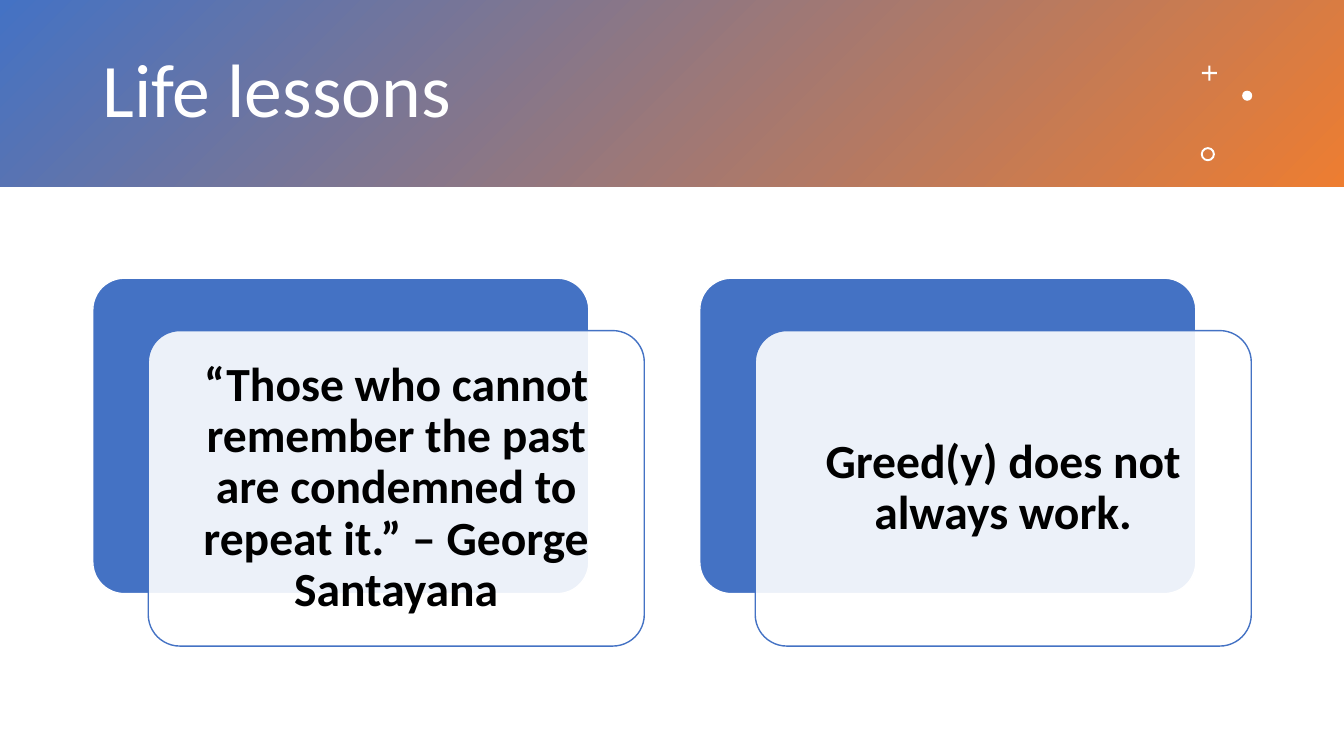
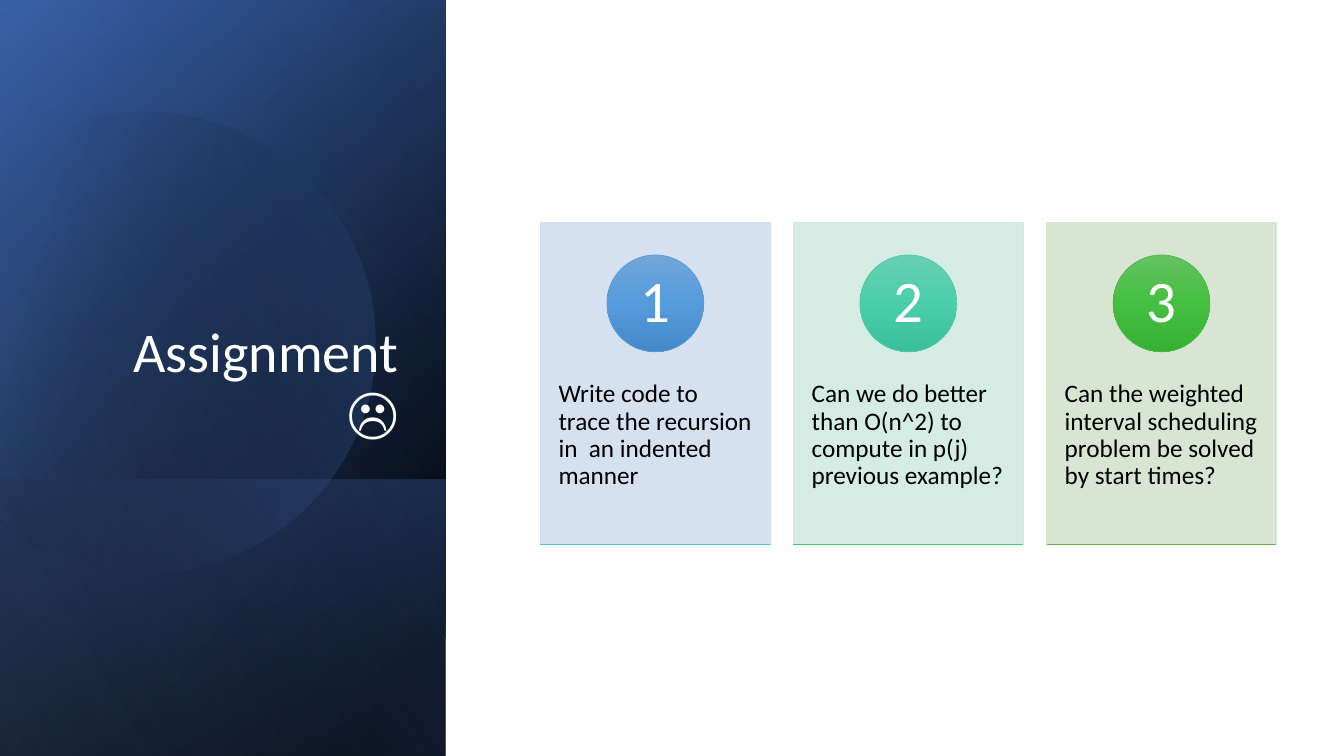
import math

from lxml import etree
from pptx import Presentation
from pptx.dml.color import RGBColor
from pptx.enum.shapes import MSO_CONNECTOR, MSO_SHAPE
from pptx.enum.text import MSO_ANCHOR, PP_ALIGN
from pptx.oxml.ns import qn
from pptx.util import Pt

PX = 9144  # EMU in one px, 100 px to the inch
WIDTH, HEIGHT = 1333, 750
RECT, ROUNDED, OVAL = MSO_SHAPE.RECTANGLE, MSO_SHAPE.ROUNDED_RECTANGLE, MSO_SHAPE.OVAL
CROSS, DONUT = MSO_SHAPE.CROSS, MSO_SHAPE.DONUT
LEFT, CENTER, RIGHT = PP_ALIGN.LEFT, PP_ALIGN.CENTER, PP_ALIGN.RIGHT
TOP, MIDDLE, BOTTOM = MSO_ANCHOR.TOP, MSO_ANCHOR.MIDDLE, MSO_ANCHOR.BOTTOM

COLORS = {
    "white": "FFFFFF", "black": "000000", "blue": "4472C4", "orange": "ED7D31",
    "navy": "2F5597", "pale_blue": "8FAADC",
}
WHITE, BLACK, BLUE = COLORS["white"], COLORS["black"], COLORS["blue"]
TITLE = {"size": Pt(54), "color": WHITE}
QUOTE = {"size": Pt(34), "color": BLACK, "bold": True}
TASK = {"size": Pt(18), "color": BLACK}
NUMBER = {"size": Pt(42), "color": WHITE}


def paint(sp, stops, angle=0, line=None, weight=1):
    """Fill with (position, colour, opacity) stops; a single stop is a solid fill."""
    sp.shadow.inherit = False
    sp.fill.background()
    no_fill = sp._element.spPr.find(qn("a:noFill"))
    fill = etree.Element(qn("a:solidFill" if len(stops) == 1 else "a:gradFill"))
    holder = fill
    if len(stops) > 1:
        fill.set("rotWithShape", "1")
        stop_list = etree.SubElement(fill, qn("a:gsLst"))
        etree.SubElement(fill, qn("a:lin"), ang=str(angle * 60000), scaled="0")
    for position, color, opacity in stops:
        if len(stops) > 1:
            holder = etree.SubElement(stop_list, qn("a:gs"), pos=str(position * 1000))
        clr = etree.SubElement(holder, qn("a:srgbClr"), val=color)
        if opacity < 100:
            etree.SubElement(clr, qn("a:alpha"), val=str(opacity * 1000))
    no_fill.getparent().replace(no_fill, fill)
    if line:
        sp.line.color.rgb = RGBColor.from_string(line)
        sp.line.width = Pt(weight)
    else:
        sp.line.fill.background()


def add_text(s, box, text, style, align, anchor, margins=(10, 5, 10, 5)):
    tf = s.shapes.add_textbox(*(v * PX for v in box)).text_frame
    tf.word_wrap = True
    tf.vertical_anchor = anchor
    for side, margin in zip(("left", "top", "right", "bottom"), margins):
        setattr(tf, f"margin_{side}", margin * PX)
    p = tf.paragraphs[0]
    p.alignment = align
    p.line_spacing = 0.9
    r = p.add_run()
    r.text = text
    r.font.name = "Calibri"
    for name, value in style.items():
        if name == "color":
            r.font.color.rgb = RGBColor.from_string(value)
        else:
            setattr(r.font, name, value)


prs = Presentation()
prs.slide_width, prs.slide_height = WIDTH * PX, HEIGHT * PX
blank = prs.slide_layouts[6]

# Slide 1: life lessons
s = prs.slides.add_slide(blank)
band = s.shapes.add_shape(RECT, 0, 0, WIDTH * PX, 185 * PX)
paint(band, [(0, BLUE, 100), (100, COLORS["orange"], 100)], 45)
add_text(s, (92, 33, 1075, 119), "Life lessons", TITLE, LEFT, MIDDLE)

ornaments = [
    (CROSS, 1192, 65, 15, 0.43),
    (OVAL, 1232, 90, 10, None),
    (DONUT, 1191, 146, 14, 0.14),
]
for kind, x, y, size, adjust in ornaments:
    sp = s.shapes.add_shape(kind, x * PX, y * PX, size * PX, size * PX)
    paint(sp, [(0, WHITE, 100)])
    if adjust:
        sp.adjustments[0] = adjust

lessons = [
    "“Those who cannot remember the past are condemned to repeat it.” – George Santayana",
    "Greed(y) does not always work.",
]
for i, lesson in enumerate(lessons):
    x, y = 92 + 602 * i, 276
    for dx, dy, color, opacity, line in ((0, 0, BLUE, 100, WHITE), (55, 52, WHITE, 90, BLUE)):
        card = s.shapes.add_shape(ROUNDED, *(v * PX for v in (x + dx, y + dy, 492, 313)))
        card.adjustments[0] = 0.1
        paint(card, [(0, color, opacity)], line=line)
    add_text(s, (x + 64, y + 61, 474, 295), lesson, QUOTE, CENTER, MIDDLE, (14, 14, 14, 14))

# Slide 2: assignment
s = prs.slides.add_slide(blank)
panel_w = 442
layers = [
    ("panel", 0, 50, [(8, BLACK, 100), (100, COLORS["navy"], 100)]),
    ("panel", 0, 30, [(0, BLACK, 0), (99, BLUE, 46)]),
    ("panel", 476, 130, [(2, BLUE, 29), (100, BLACK, 30)]),
    ("disc", 106, 30, [(29, BLACK, 0), (100, BLUE, 43)]),
    ("panel", 0, 120, [(0, BLACK, 0), (99, COLORS["pale_blue"], 11)]),
]
for kind, top, angle, stops in layers:
    if kind == "disc":
        radius = 229
        cx, cy = 143, top + radius
        corners = [math.radians(a) for a in (-117, -90, 0, 90, 149)]
        rim = [((cx + radius * math.cos(a)) * PX, (cy + radius * math.sin(a)) * PX)
               for a in corners]
        outline = s.shapes.build_freeform(*rim[0], scale=1)
        outline.add_line_segments(rim[1:], close=True)
        sp = outline.convert_to_shape()
        # Bend each straight side of the rim into a circular arc
        sides = list(sp._element.iter(qn("a:lnTo")))
        for side, a, b in zip(sides, corners, corners[1:]):
            reach = 4 / 3 * math.tan((b - a) / 4) * radius
            controls = [
                (cx + radius * math.cos(t) - pull * math.sin(t),
                 cy + radius * math.sin(t) + pull * math.cos(t))
                for t, pull in ((a, reach), (b, -reach))
            ]
            side.tag = qn("a:cubicBezTo")
            for n, (px, py) in enumerate(controls):
                pt = etree.Element(qn("a:pt"), x=str(round(px * PX - sp.left)),
                                   y=str(round(py * PX - sp.top)))
                side.insert(n, pt)
        sp.rotation = 343.9
    else:
        h = HEIGHT - top
        turn = (h - panel_w) // 2  # a quarter turn swaps width and height about the centre
        sp = s.shapes.add_shape(RECT, *(v * PX for v in (-turn, top + turn, h, panel_w)))
        sp.rotation = 90
        sp._element.spPr.find(qn("a:xfrm")).set("flipH", "1")
    paint(sp, stops, angle)

add_text(s, (64, 184, 341, 262), "Assignment ☹", {**TITLE, "size": Pt(40)}, RIGHT, BOTTOM)

tasks = [
    ("Write code to trace the recursion in  an indented manner",
     "D2DEEF", ("71A6DB", "559BDB", "448ACA"), "5B9BD5", "55C3CF"),
    ("Can we do better than O(n^2) to compute in p(j) previous example?",
     "D0EAE1", ("69CFB1", "4ACEAA", "3BBE9A"), "50C8A7", "4BC174"),
    ("Can the weighted interval scheduling problem be solved by start times?",
     "D5E3CF", ("64C162", "44BF41", "37B034"), "4ABA46", "70AD47"),
]
card_w, card_top, card_h, badge = 228, 221, 319, 96
for i, (task, tint, shades, badge_line, rule_color) in enumerate(tasks):
    x = 536 + 251 * i
    card = s.shapes.add_shape(RECT, *(v * PX for v in (x, card_top, card_w, card_h)))
    paint(card, [(0, tint, 90)], line=tint, weight=0.5)
    add_text(s, (x, card_top + 121, card_w, 191), task, TASK, LEFT, TOP, (18, 36, 18, 36))

    badge_x, badge_y = x + (card_w - badge) // 2, card_top + 32
    circle = s.shapes.add_shape(OVAL, *(v * PX for v in (badge_x, badge_y, badge, badge)))
    paint(circle, [(50 * n, shade, 100) for n, shade in enumerate(shades)], 90, badge_line, 0.5)
    add_text(s, (badge_x + 14, badge_y + 14, 68, 68), str(i + 1), NUMBER, CENTER, MIDDLE,
             (7, 1, 7, 1))

    y = card_top + card_h
    rule = s.shapes.add_connector(
        MSO_CONNECTOR.STRAIGHT, *(v * PX for v in (x, y, x + card_w, y)))
    rule.line.color.rgb = RGBColor.from_string(rule_color)
    rule.line.width = Pt(0.5)
    etree.SubElement(rule._element.spPr, qn("a:effectLst"))

prs.save("out.pptx")
